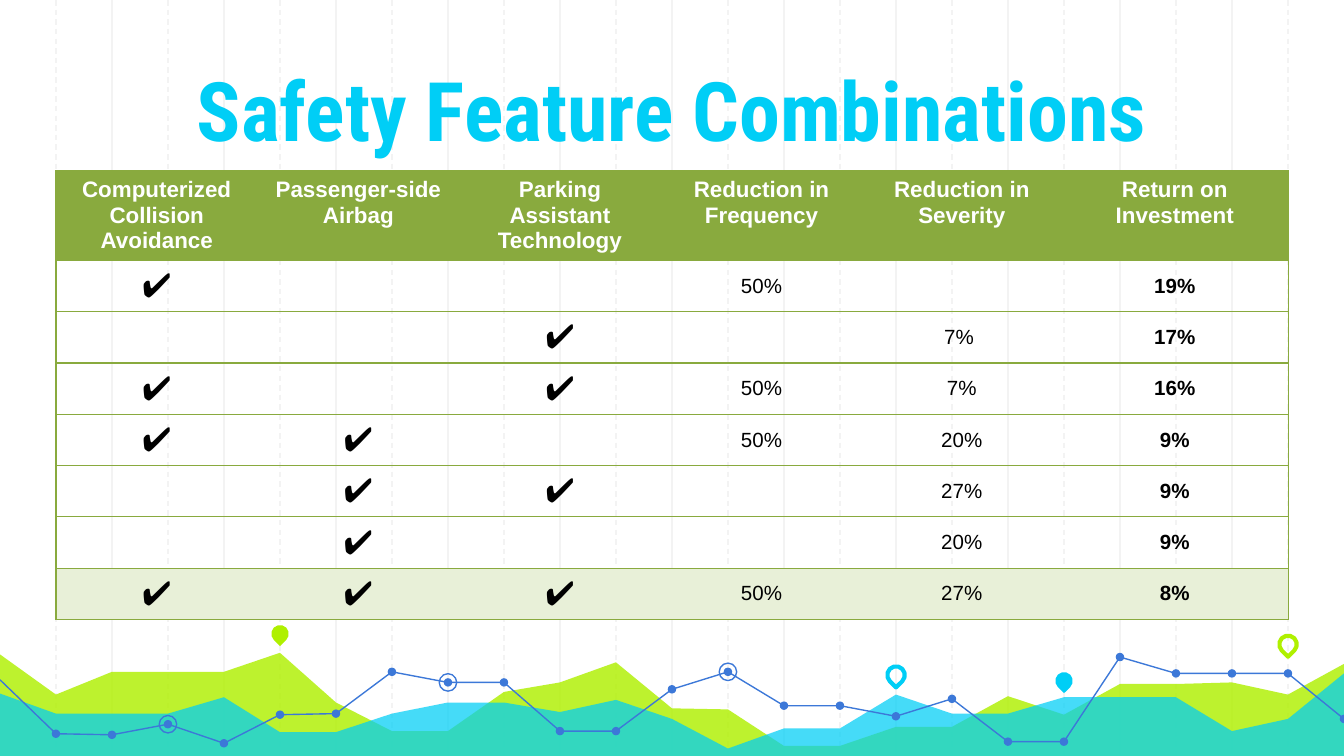
from dataclasses import dataclass

from lxml.etree import SubElement
from pptx import Presentation
from pptx.dml.color import RGBColor
from pptx.enum.dml import MSO_LINE
from pptx.enum.shapes import MSO_CONNECTOR, MSO_SHAPE
from pptx.enum.text import MSO_ANCHOR, MSO_AUTO_SIZE, PP_ALIGN
from pptx.oxml.ns import qn
from pptx.util import Cm, Pt

WIDE, HIGH = 25.4, 14.29
STEP = WIDE / 24
LIME, CYAN, BLUE = "AFF000", "00CEF6", "3C78D8"
OLIVE, PALE, GRID = "89AA3E", "E8F0D8", "F3F3F3"
WHITE, BLACK = "FFFFFF", "000000"
NO_STYLE = "{2D5ABB26-0587-4C30-8999-92F81FD0307C}"
TICK = "\u2714"


@dataclass
class Area:
    """A filled wave with one height per grid step."""
    tone: str
    alpha: int
    tops: list[float]


@dataclass
class Pin:
    """A map pin above a grid step, solid or hollow."""
    step: int
    y: float
    tone: str
    solid: bool


AREAS = [
    Area(LIME, 82, [12.37, 13.13, 12.7, 12.7, 12.7, 12.34, 13.28, 13.82, 13.82,
                    13.08, 12.9, 12.52, 13.39, 13.41, 14.1, 14.1, 13.74, 13.74,
                    13.16, 13.51, 12.93, 12.93, 12.9, 13.13, 12.55]),
    Area(CYAN, 73, [13.11, 13.49, 13.49, 13.49, 13.18, 13.84, 13.84, 13.49, 13.28,
                    13.28, 13.46, 13.23, 13.59, 14.15, 13.77, 13.77, 13.13, 13.49,
                    13.49, 13.18, 13.18, 13.18, 13.82, 13.59, 12.73]),
]
TREND = [12.85, 13.87, 13.89, 13.69, 14.05, 13.51, 13.49, 12.7, 12.9,
         12.9, 13.82, 13.82, 13.03, 12.7, 13.34, 13.34, 13.54, 13.21,
         14.02, 14.02, 12.42, 12.73, 12.73, 12.73, 13.59]
RINGS = (3, 8, 13)
PINS = [Pin(5, 11.98, LIME, True), Pin(16, 12.76, CYAN, False),
        Pin(19, 12.87, CYAN, True), Pin(23, 12.18, LIME, False)]

COLS = [3.81, 3.81, 3.81, 3.81, 3.76, 4.29]
ROWS = [
    ["Computerized Collision Avoidance", "Passenger-side Airbag",
     "Parking Assistant Technology", "Reduction in Frequency",
     "Reduction in Severity", "Return on Investment"],
    [TICK, "", "", "50%", "", "19%"],
    ["", "", TICK, "", "7% ", "17%"],
    [TICK, "", TICK, "50%", "7%", "16%"],
    [TICK, TICK, "", "50%", "20%", "9%"],
    ["", TICK, TICK, "", "27%", "9%"],
    ["", TICK, "", "", "20%", "9%"],
    [TICK, TICK, TICK, "50%", "27%", "8%"],
]


def rgb(code: str) -> RGBColor:
    """Turn a hex string into a colour."""
    return RGBColor.from_string(code)


def write(frame, text: str, *, size: float, tone: str, bold: bool = False,
          font: str = "Arial") -> None:
    """Put one centred, formatted line of text into a frame."""
    line = frame.paragraphs[0]
    line.alignment = PP_ALIGN.CENTER
    run = line.add_run()
    run.text = text
    run.font.name, run.font.size, run.font.bold = font, Pt(size), bold
    run.font.color.rgb = rgb(tone)


def paint(shape, fill: str = "", line: str = "", width: float = 0.75,
          alpha: int = 100) -> None:
    """Set the fill and outline of a shape and drop its shadow."""
    shape.shadow.inherit = False
    if fill:
        shape.fill.solid()
        shape.fill.fore_color.rgb = rgb(fill)
        if alpha < 100:
            tint = shape.fill._xPr.find(".//" + qn("a:srgbClr"))
            SubElement(tint, qn("a:alpha"), val=str(alpha * 1000))
    else:
        shape.fill.background()
    if line:
        shape.line.color.rgb = rgb(line)
        shape.line.width = Pt(width)
    else:
        shape.line.fill.background()


def mark(shapes, kind: MSO_SHAPE, step: int, y: float, size: float):
    """Add a small shape centred on a grid step."""
    return shapes.add_shape(kind, Cm(step * STEP - size / 2), Cm(y - size / 2),
                            Cm(size), Cm(size))


def trace(shapes, tops: list[float], closed: bool):
    """Join heights along the grid, closing at the slide's foot if asked."""
    spots = [(Cm(i * STEP), Cm(y)) for i, y in enumerate(tops)]
    if closed:
        spots += [(Cm(WIDE), Cm(HIGH)), (Cm(0), Cm(HIGH))]
    pen = shapes.build_freeform(*spots[0])
    pen.add_line_segments(spots[1:], close=closed)
    return pen.convert_to_shape()


def draw_grid(shapes) -> None:
    """Draw upright lines, dashed at every odd step."""
    for i in range(1, 24):
        x = Cm(i * STEP)
        rule = shapes.add_connector(MSO_CONNECTOR.STRAIGHT, x, Cm(0), x, Cm(HIGH))
        rule.line.color.rgb = rgb(GRID)
        rule.line.width = Pt(0.75)
        if i % 2:
            rule.line.dash_style = MSO_LINE.DASH
        SubElement(rule._element.spPr, qn("a:effectLst"))


def draw_waves(shapes) -> None:
    """Draw the areas, the pins and the dotted trend line."""
    for area in AREAS:
        paint(trace(shapes, area.tops, True), area.tone, alpha=area.alpha)
    for pin in PINS:
        drop = mark(shapes, MSO_SHAPE.TEAR, pin.step, pin.y, 0.33)
        drop.rotation = 135
        if pin.solid:
            paint(drop, pin.tone)
        else:
            paint(drop, line=pin.tone, width=2.25)
    paint(trace(shapes, TREND, False), line=BLUE)
    for i, y in enumerate(TREND[1:], 1):
        paint(mark(shapes, MSO_SHAPE.OVAL, i, y, 0.16), BLUE)
    for i in RINGS:
        paint(mark(shapes, MSO_SHAPE.OVAL, i, TREND[i], 0.33), line=BLUE)


def edge(cell, sides: str) -> None:
    """Draw the named sides of a cell and clear the others."""
    props = cell._tc.get_or_add_tcPr()
    for side in "LRTB":
        line = SubElement(props, qn("a:ln" + side), w=str(Pt(0.75)))
        if side in sides:
            fill = SubElement(line, qn("a:solidFill"))
            SubElement(fill, qn("a:srgbClr"), val=OLIVE)
        else:
            SubElement(line, qn("a:noFill"))


def draw_table(shapes) -> None:
    """Build the table of feature combinations."""
    frame = shapes.add_table(len(ROWS), len(COLS), Cm(STEP), Cm(3.23),
                             Cm(sum(COLS)), Cm(8.48))
    table = frame.table
    table.first_row = table.horz_banding = False
    table._tbl.tblPr.find(qn("a:tableStyleId")).text = NO_STYLE
    for col, wide in zip(table.columns, COLS):
        col.width = Cm(wide)
    last = len(COLS) - 1
    for r, row in enumerate(ROWS):
        table.rows[r].height = Cm(0.97 if r else 1.69)
        tone = PALE if r == len(ROWS) - 1 else "" if r else OLIVE
        for c, text in enumerate(row):
            cell = table.cell(r, c)
            edge(cell, "TB" + "L" * (c == 0) + "R" * (c == last))
            if tone:
                cell.fill.solid()
                cell.fill.fore_color.rgb = rgb(tone)
            else:
                cell.fill.background()
            if r:
                cell.margin_top = cell.margin_bottom = Cm(0)
                cell.vertical_anchor = MSO_ANCHOR.MIDDLE
            if text:
                size = 12 if r == 0 else 18 if text == TICK else 11
                write(cell.text_frame, text, size=size,
                      tone=BLACK if r else WHITE, bold=r == 0 or c == last)


def draw_title(slide) -> None:
    """Place the title above the grid lines."""
    title = slide.shapes.title
    slide.shapes._spTree.append(title._element)
    title.left, title.top, title.width, title.height = Cm(0), Cm(0), Cm(WIDE), Cm(3.23)
    frame = title.text_frame
    frame.auto_size = MSO_AUTO_SIZE.NONE
    frame.vertical_anchor = MSO_ANCHOR.BOTTOM
    frame.margin_top = frame.margin_bottom = Cm(0.25)
    write(frame, "Safety Feature Combinations", size=44, tone=CYAN, bold=True,
          font="Roboto Condensed")


deck = Presentation()
deck.slide_width, deck.slide_height = Cm(WIDE), Cm(HIGH)
page = deck.slides.add_slide(deck.slide_layouts[5])
draw_grid(page.shapes)
draw_waves(page.shapes)
draw_title(page)
draw_table(page.shapes)
deck.save("out.pptx")
